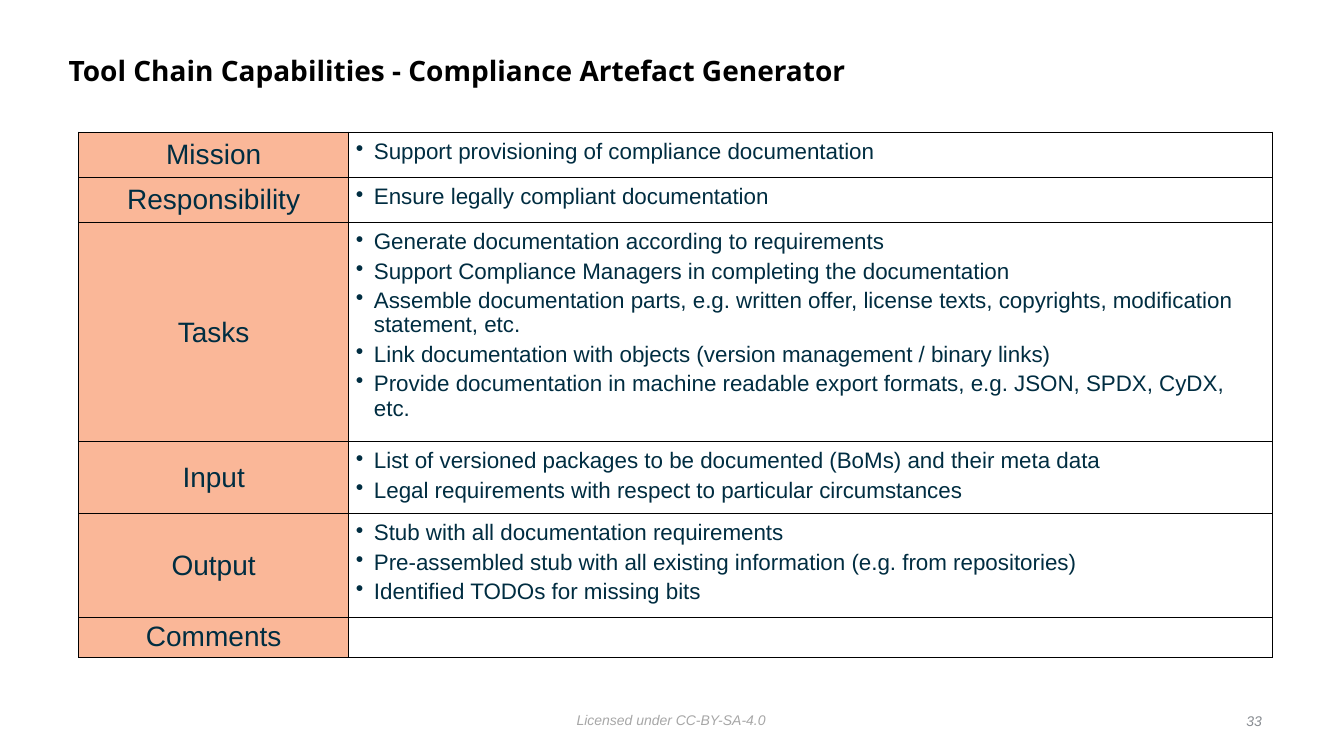
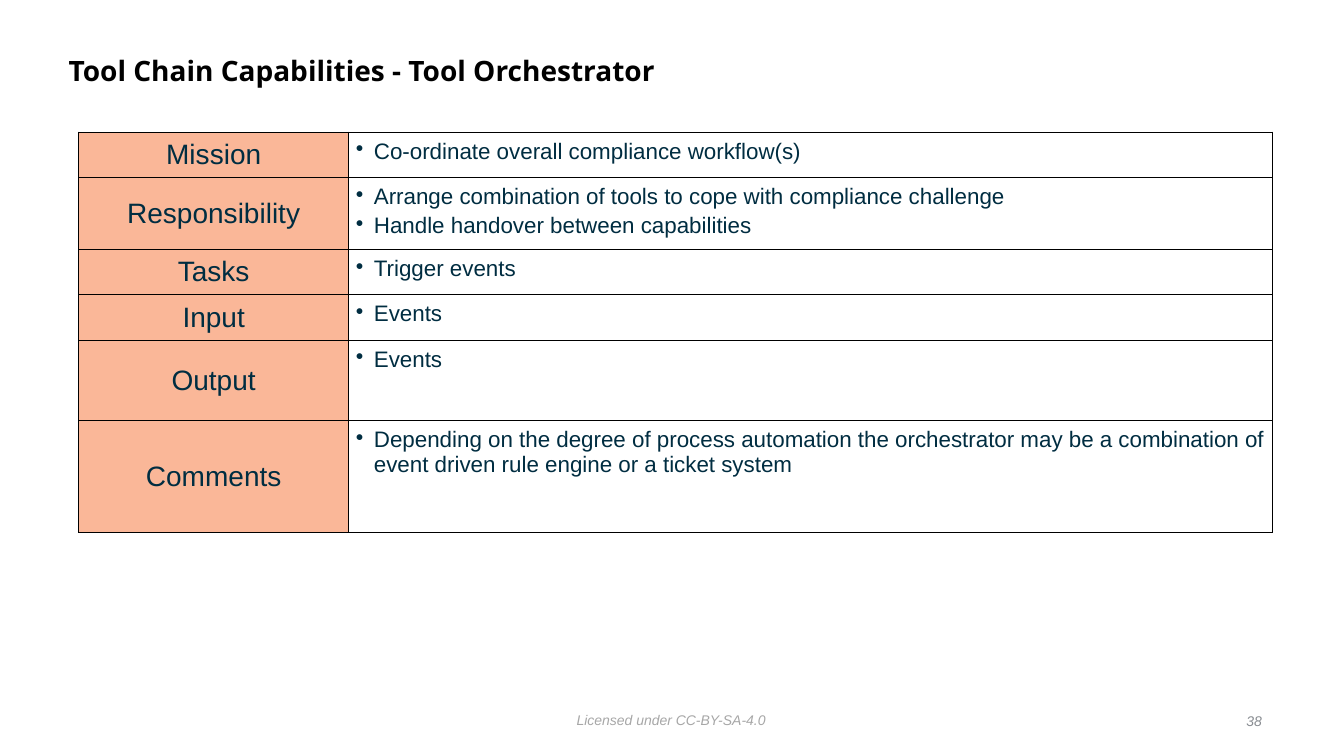
from lxml import etree
from pptx import Presentation
from pptx.dml.color import RGBColor
from pptx.enum.text import MSO_ANCHOR, PP_ALIGN
from pptx.oxml.ns import qn
from pptx.util import Emu, Inches, Pt

LEFT, CENTER, RIGHT = PP_ALIGN.LEFT, PP_ALIGN.CENTER, PP_ALIGN.RIGHT
TOP, MIDDLE = MSO_ANCHOR.TOP, MSO_ANCHOR.MIDDLE

BLACK = RGBColor(0x00, 0x00, 0x00)
NAVY = RGBColor(0x00, 0x2D, 0x41)
PEACH = RGBColor(0xFA, 0xB7, 0x98)
LICENSE_GREY = RGBColor(0xA7, 0xA7, 0xA7)
NUMBER_GREY = RGBColor(0x88, 0x8C, 0x91)

TITLE_FONT = {"name": "Open Sans", "size": Pt(20), "bold": True, "color": BLACK}
LABEL_FONT = {"name": "Arial", "size": Pt(20), "bold": False, "color": NAVY}
BULLET_FONT = {**LABEL_FONT, "size": Pt(16)}
LICENSE_FONT = {"name": "Arial", "size": Pt(10), "italic": True, "color": LICENSE_GREY}
NUMBER_FONT = {**LICENSE_FONT, "color": NUMBER_GREY}

LICENSE = "Licensed under CC-BY-SA-4.0"
TITLE_PREFIX = "Tool Chain Capabilities - "
TABLE_LEFT, TABLE_TOP = 0.78, 1.31
COLUMNS = (2.68, 9.16)
ROW = 0.45
INDENT = Inches(0.18)
SIDES = ("left", "right", "top", "bottom")

CAPABILITIES = [
    {
        "name": "Compliance Artefact Generator",
        "number": "33",
        "rows": [
            ("Mission", ROW, ["Support provisioning of compliance documentation"]),
            ("Responsibility", ROW, ["Ensure legally compliant documentation"]),
            ("Tasks", 2.04, [
                "Generate documentation according to requirements",
                "Support Compliance Managers in completing the documentation",
                "Assemble documentation parts, e.g. written offer, license texts, "
                "copyrights, modification statement, etc.",
                "Link documentation with objects (version management / binary links)",
                "Provide documentation in machine readable export formats, "
                "e.g. JSON, SPDX, CyDX, etc.",
            ]),
            ("Input", 0.67, [
                "List of versioned packages to be documented (BoMs) and their meta data",
                "Legal requirements with respect to particular circumstances",
            ]),
            ("Output", 0.97, [
                "Stub with all documentation requirements",
                "Pre-assembled stub with all existing information (e.g. from repositories)",
                "Identified TODOs for missing bits",
            ]),
            ("Comments", 0.39, []),
        ],
    },
    {
        "name": "Tool Orchestrator",
        "number": "38",
        "rows": [
            ("Mission", ROW, ["Co-ordinate overall compliance workflow(s)"]),
            ("Responsibility", 0.67, [
                "Arrange combination of tools to cope with compliance challenge",
                "Handle handover between capabilities",
            ]),
            ("Tasks", ROW, ["Trigger events"]),
            ("Input", ROW, ["Events"]),
            ("Output", 0.8, ["Events"]),
            ("Comments", 1.11, [
                "Depending on the degree of process automation the orchestrator may be "
                "a combination of event driven rule engine or a ticket system",
            ]),
        ],
    },
]


def style(font, values):
    for key, value in values.items():
        if key == "color":
            font.color.rgb = value
        else:
            setattr(font, key, value)


def set_margins(target, inches):
    for side in SIDES:
        setattr(target, f"margin_{side}", Inches(inches))


def write(paragraph, text, values, align=LEFT):
    paragraph.alignment = align
    run = paragraph.add_run()
    run.text = text
    style(run.font, values)


def add_text(slide, box, text, values, align=LEFT, anchor=MIDDLE, wrap=True, spacing=None):
    frame = slide.shapes.add_textbox(*map(Inches, box)).text_frame
    frame.word_wrap = wrap
    frame.vertical_anchor = anchor
    set_margins(frame, 0.05)
    frame.paragraphs[0].line_spacing = spacing
    write(frame.paragraphs[0], text, values, align)


def add_borders(cell):
    properties = cell._tc.get_or_add_tcPr()
    for tag in ("a:lnL", "a:lnR", "a:lnT", "a:lnB"):
        line = etree.SubElement(properties, qn(tag), w=str(Pt(0.5)))
        fill = etree.SubElement(line, qn("a:solidFill"))
        etree.SubElement(fill, qn("a:srgbClr"), val=str(BLACK))


def fill_label(cell, label):
    cell.fill.solid()
    cell.fill.fore_color.rgb = PEACH
    cell.vertical_anchor = MIDDLE
    set_margins(cell, 0)
    write(cell.text_frame.paragraphs[0], label, LABEL_FONT, CENTER)


def fill_bullets(cell, bullets):
    cell.fill.background()
    if bullets:
        set_margins(cell, 0.07)
    frame = cell.text_frame
    for index, text in enumerate(bullets):
        paragraph = frame.add_paragraph() if index else frame.paragraphs[0]
        if index:
            paragraph.space_before = Pt(3)
        properties = paragraph._p.get_or_add_pPr()
        properties.set("marL", str(INDENT))
        properties.set("indent", str(-INDENT))
        etree.SubElement(properties, qn("a:buChar"), char="•")
        write(paragraph, text, BULLET_FONT)


def add_capability_table(slide, rows):
    height = sum(row_height for _, row_height, _ in rows)
    table = slide.shapes.add_table(
        len(rows), len(COLUMNS), Inches(TABLE_LEFT), Inches(TABLE_TOP),
        Inches(sum(COLUMNS)), Inches(height)).table
    table.first_row = table.horz_banding = False
    for column, width in zip(table.columns, COLUMNS):
        column.width = Inches(width)
    for row, (label, row_height, bullets) in zip(table.rows, rows):
        row.height = Inches(row_height)
        for cell in row.cells:
            add_borders(cell)
        fill_label(row.cells[0], label)
        fill_bullets(row.cells[1], bullets)


def add_capability_slide(deck, capability):
    slide = deck.slides.add_slide(deck.slide_layouts[6])
    add_text(slide, (5.67, 7.01, 1.99, 0.25), LICENSE, LICENSE_FONT, anchor=TOP, wrap=False)
    add_text(slide, (0.63, 0.39, 10.75, 0.65), TITLE_PREFIX + capability["name"],
             TITLE_FONT, spacing=0.9)
    add_capability_table(slide, capability["rows"])
    add_text(slide, (12.07, 7.03, 0.5, 0.25), capability["number"], NUMBER_FONT, RIGHT)


def main():
    deck = Presentation()
    deck.slide_width, deck.slide_height = Emu(12192000), Inches(7.5)
    for capability in CAPABILITIES:
        add_capability_slide(deck, capability)
    deck.save("out.pptx")


if __name__ == "__main__":
    main()
